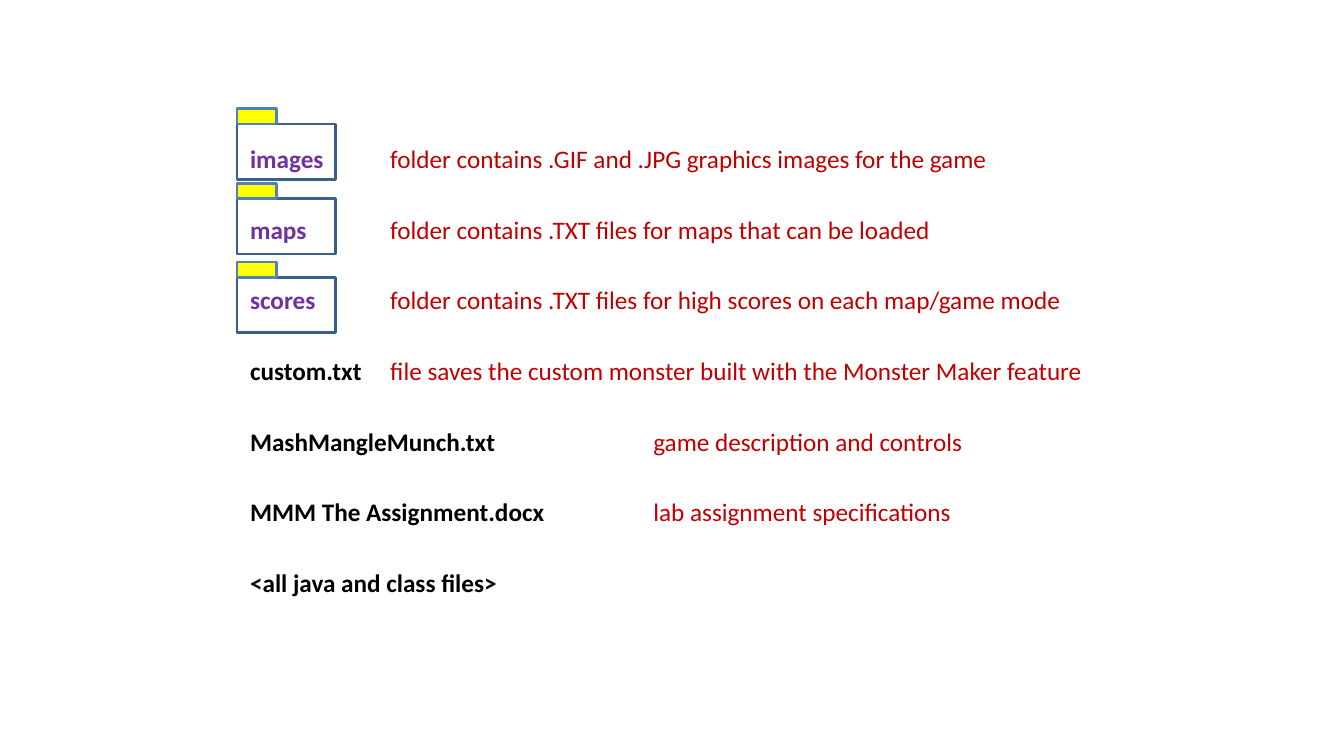
from dataclasses import dataclass

from lxml.etree import SubElement
from pptx import Presentation
from pptx.dml.color import RGBColor
from pptx.enum.shapes import MSO_SHAPE
from pptx.enum.text import MSO_ANCHOR, MSO_AUTO_SIZE
from pptx.oxml.ns import qn
from pptx.slide import Slide
from pptx.text.text import TextFrame
from pptx.util import Inches, Pt

COLORS = {
    "folder": "7030A0",
    "file": "000000",
    "note": "C00000",
    "outline": "3A5F8C",
    "tab_fill": "FFFF00",
    "tab_line": "4F81BD",
}
FONT = "Calibri"
TEXT_SIZE = 18
ENTRY_GAP = 28.9
NEAR_COLUMN, FAR_COLUMN = 1.39, 4.0
FOLDER_LEFT, FOLDER_WIDTH, FOLDER_HEIGHT = 2.35, 0.98, 0.55
TAB_WIDTH, TAB_HEIGHT = 0.39, 0.15


@dataclass(frozen=True)
class Entry:
    name: str
    note: str = ""
    kind: str = "file"
    column: float = NEAR_COLUMN
    folder_top: float = 0


ENTRIES = [
    Entry("images", "folder contains .GIF and .JPG graphics images for the game",
          "folder", folder_top=1.08),
    Entry("maps", "folder contains .TXT files for maps that can be loaded",
          "folder", folder_top=1.82),
    Entry("scores", "folder contains .TXT files for high scores on each map/game mode",
          "folder", folder_top=2.6),
    Entry("custom.txt", "file saves the custom monster built with the Monster Maker feature"),
    Entry("MashMangleMunch.txt", "game description and controls", column=FAR_COLUMN),
    Entry("MMM The Assignment.docx", "lab assignment specifications", column=FAR_COLUMN),
    Entry("<all java and class files>"),
]


def add_text(paragraph, text: str, *, color: str, bold: bool = False) -> None:
    run = paragraph.add_run()
    run.text = text
    run.font.name = FONT
    run.font.size = Pt(TEXT_SIZE)
    run.font.bold = bold
    run.font.color.rgb = RGBColor.from_string(COLORS[color])


def add_entry(frame: TextFrame, entry: Entry, first: bool) -> None:
    paragraph = frame.paragraphs[0] if first else frame.add_paragraph()
    paragraph.space_before = Pt(0)
    paragraph.space_after = Pt(ENTRY_GAP)
    properties = paragraph._p.get_or_add_pPr()
    properties.set("marL", "0")
    properties.set("indent", "0")
    properties.set("defTabSz", str(Inches(entry.column)))
    SubElement(properties, qn("a:buNone"))
    add_text(paragraph, entry.name, color=entry.kind, bold=True)
    if entry.note:
        add_text(paragraph, "\t" + entry.note, color="note")


def add_box(slide: Slide, top: float, width: float, height: float,
            line: str, fill: str = "") -> None:
    box = slide.shapes.add_shape(MSO_SHAPE.RECTANGLE, Inches(FOLDER_LEFT), Inches(top),
                                 Inches(width), Inches(height))
    box.shadow.inherit = False
    box.line.color.rgb = RGBColor.from_string(COLORS[line])
    box.line.width = Pt(2)
    if fill:
        box.fill.solid()
        box.fill.fore_color.rgb = RGBColor.from_string(COLORS[fill])
    else:
        box.fill.background()


def add_folder(slide: Slide, top: float) -> None:
    add_box(slide, top + TAB_HEIGHT, FOLDER_WIDTH, FOLDER_HEIGHT, "outline")
    add_box(slide, top, TAB_WIDTH, TAB_HEIGHT, "tab_line", "tab_fill")


def main() -> None:
    deck = Presentation()
    deck.slide_width, deck.slide_height = Inches(13.33), Inches(7.5)
    slide = deck.slides.add_slide(deck.slide_layouts[1])
    title = slide.shapes.title
    title.element.getparent().remove(title.element)

    listing = slide.placeholders[1]
    listing.left, listing.top = Inches(2.38), Inches(1.37)
    listing.width, listing.height = Inches(8.62), Inches(5.01)
    frame = listing.text_frame
    frame.word_wrap = True
    frame.auto_size = MSO_AUTO_SIZE.NONE
    frame.vertical_anchor = MSO_ANCHOR.TOP

    for index, entry in enumerate(ENTRIES):
        add_entry(frame, entry, first=index == 0)
        if entry.kind == "folder":
            add_folder(slide, entry.folder_top)

    deck.save("out.pptx")


if __name__ == "__main__":
    main()
